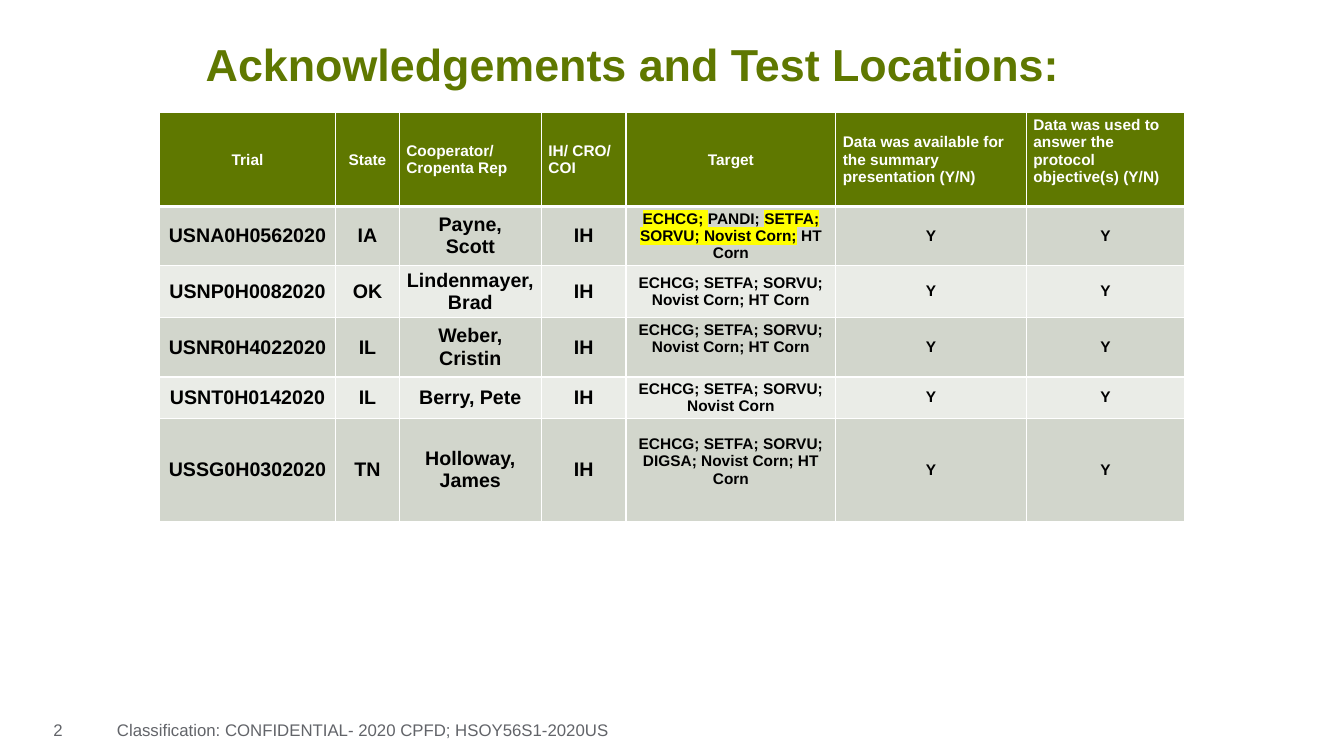
from typing import NamedTuple

import lxml.etree
import pptx
import pptx.dml.color
import pptx.enum.text
import pptx.oxml.ns
import pptx.table
import pptx.text.text
import pptx.util

Inches = pptx.util.Inches
Pt = pptx.util.Pt
RGBColor = pptx.dml.color.RGBColor
Align = pptx.enum.text.PP_ALIGN
Anchor = pptx.enum.text.MSO_ANCHOR
qn = pptx.oxml.ns.qn

GREEN = RGBColor(0x5F, 0x78, 0x00)
GREY = RGBColor(0x62, 0x64, 0x69)
WHITE = RGBColor(0xFF, 0xFF, 0xFF)
BLACK = RGBColor(0x00, 0x00, 0x00)
YELLOW = RGBColor(0xFF, 0xFF, 0x00)
BANDS = (RGBColor(0xD2, 0xD6, 0xCC), RGBColor(0xEA, 0xEC, 0xE7))

CELL_SIDE, CELL_EDGE, RAISED_BOTTOM = 0.07, 0.03, 0.2


class Column(NamedTuple):
    heading: str
    width: float
    size: int
    heading_align: Align = Align.CENTER


class Piece(NamedTuple):
    text: str
    highlighted: bool = False


class Trial(NamedTuple):
    code: str
    state: str
    cooperator: str
    target: tuple[Piece, ...]
    height: float
    target_raised: bool = False


class Label(NamedTuple):
    text: str
    left: float
    top: float
    width: float
    height: float
    size: int
    color: RGBColor
    inset: float = 0
    bold: bool = False
    anchor: Anchor = Anchor.TOP
    spacing: float = 1.0


COLUMNS = (
    Column("Trial", 1.75, 14),
    Column("State", 0.63, 14),
    Column("Cooperator/\nCropenta Rep", 1.41, 14, Align.LEFT),
    Column("IH/ CRO/ COI", 0.84, 14, Align.LEFT),
    Column("Target", 2.08, 11),
    Column("Data was available for the summary presentation (Y/N)", 1.89, 11, Align.LEFT),
    Column("Data was used to answer the protocol objective(s) (Y/N)", 1.57, 11, Align.LEFT),
)
HEADING_HEIGHT = 0.93
TARGET_COLUMN = 4

TRIALS = (
    Trial("USNA0H0562020", "IA", "Payne,\nScott",
          (Piece("ECHCG; ", True), Piece("PANDI; "),
           Piece("SETFA; SORVU; Novist Corn;", True), Piece(" HT Corn")), 0.58),
    Trial("USNP0H0082020", "OK", "Lindenmayer,\nBrad",
          (Piece("ECHCG; SETFA; SORVU; Novist Corn; HT Corn"),), 0.52),
    Trial("USNR0H4022020", "IL", "Weber,\nCristin",
          (Piece("ECHCG; SETFA; SORVU; Novist Corn; HT Corn"),), 0.59, True),
    Trial("USNT0H0142020", "IL", "Berry, Pete",
          (Piece("ECHCG; SETFA; SORVU; Novist Corn"),), 0.41),
    Trial("USSG0H0302020", "TN", "Holloway,\nJames",
          (Piece("ECHCG; SETFA; SORVU; DIGSA; Novist Corn; HT Corn"),), 1.03, True),
)

LABELS = (
    Label("Acknowledgements and Test Locations:", 2.04, 0.42, 9.25, 0.49, 32, GREEN,
          bold=True, anchor=Anchor.MIDDLE, spacing=0.9),
    Label("2", 0.43, 7.09, 0.81, 0.41, 12, GREY, inset=0.1),
    Label("Classification: CONFIDENTIAL- 2020 CPFD; HSOY56S1-2020US",
          1.16, 7.09, 8.39, 0.41, 12, GREY),
)


def style_font(paragraph: pptx.text.text._Paragraph, size: int, color: RGBColor, bold: bool) -> None:
    font = paragraph.font
    font.name, font.size, font.bold = "Arial", Pt(size), bold
    font.color.rgb = color


def add_label(slide: pptx.slide.Slide, label: Label) -> None:
    box = slide.shapes.add_textbox(*map(Inches, label[1:5]))
    frame = box.text_frame
    frame.word_wrap = True
    frame.vertical_anchor = label.anchor
    frame.margin_left = frame.margin_right = Inches(label.inset)
    frame.margin_top = frame.margin_bottom = Inches(0 if label.bold else 0.05)
    paragraph = frame.paragraphs[0]
    paragraph.text = label.text
    paragraph.line_spacing = label.spacing
    style_font(paragraph, label.size, label.color, label.bold)


def highlight(run: pptx.text.text._Run) -> None:
    mark = lxml.etree.SubElement(run.font._element, qn("a:highlight"))
    lxml.etree.SubElement(mark, qn("a:srgbClr"), val=str(YELLOW))


def draw_borders(cell: pptx.table._Cell, top: int, bottom: int) -> None:
    properties = cell._tc.get_or_add_tcPr()
    for side, width in (("L", 1), ("R", 1), ("T", top), ("B", bottom)):
        line = lxml.etree.SubElement(properties, qn(f"a:ln{side}"), w=str(Pt(width)))
        fill = lxml.etree.SubElement(line, qn("a:solidFill"))
        lxml.etree.SubElement(fill, qn("a:srgbClr"), val=str(WHITE))


def fill_cell(cell: pptx.table._Cell, pieces: tuple[Piece, ...], size: int, color: RGBColor,
              background: RGBColor, align: Align, raised: bool = False,
              top: int = 1, bottom: int = 1) -> None:
    """Write and style one cell; a raised text sits half a line above the middle."""
    draw_borders(cell, top, bottom)
    cell.fill.solid()
    cell.fill.fore_color.rgb = background
    cell.vertical_anchor = Anchor.MIDDLE
    cell.margin_left = cell.margin_right = Inches(CELL_SIDE)
    cell.margin_top = Inches(CELL_EDGE)
    cell.margin_bottom = Inches(RAISED_BOTTOM if raised else CELL_EDGE)
    if len(pieces) == 1:
        cell.text_frame.text = pieces[0].text
    else:
        for piece in pieces:
            run = cell.text_frame.paragraphs[0].add_run()
            run.text = piece.text
            if piece.highlighted:
                highlight(run)
    for paragraph in cell.text_frame.paragraphs:
        paragraph.alignment = align
        style_font(paragraph, size, color, True)


def add_trials(slide: pptx.slide.Slide) -> None:
    heights = [HEADING_HEIGHT] + [trial.height for trial in TRIALS]
    width = sum(column.width for column in COLUMNS)
    table = slide.shapes.add_table(len(heights), len(COLUMNS), Inches(1.58), Inches(1.12),
                                   Inches(width), Inches(sum(heights))).table
    for row, height in zip(table.rows, heights):
        row.height = Inches(height)
    for c, column in enumerate(COLUMNS):
        table.columns[c].width = Inches(column.width)
        fill_cell(table.cell(0, c), (Piece(column.heading),), 11, WHITE, GREEN,
                  column.heading_align, raised=c == len(COLUMNS) - 1, bottom=3)
    for r, trial in enumerate(TRIALS):
        values = [(Piece(text),) for text in (trial.code, trial.state, trial.cooperator, "IH")]
        values += [trial.target, (Piece("Y"),), (Piece("Y"),)]
        for c, (column, pieces) in enumerate(zip(COLUMNS, values)):
            fill_cell(table.cell(r + 1, c), pieces, column.size, BLACK, BANDS[r % 2],
                      Align.CENTER, raised=trial.target_raised and c == TARGET_COLUMN,
                      top=3 if r == 0 else 1)


def main() -> None:
    deck = pptx.Presentation()
    deck.slide_width, deck.slide_height = Inches(13.33), Inches(7.5)
    slide = deck.slides.add_slide(deck.slide_layouts[6])
    add_trials(slide)
    for label in LABELS:
        add_label(slide, label)
    deck.save("out.pptx")


if __name__ == "__main__":
    main()
